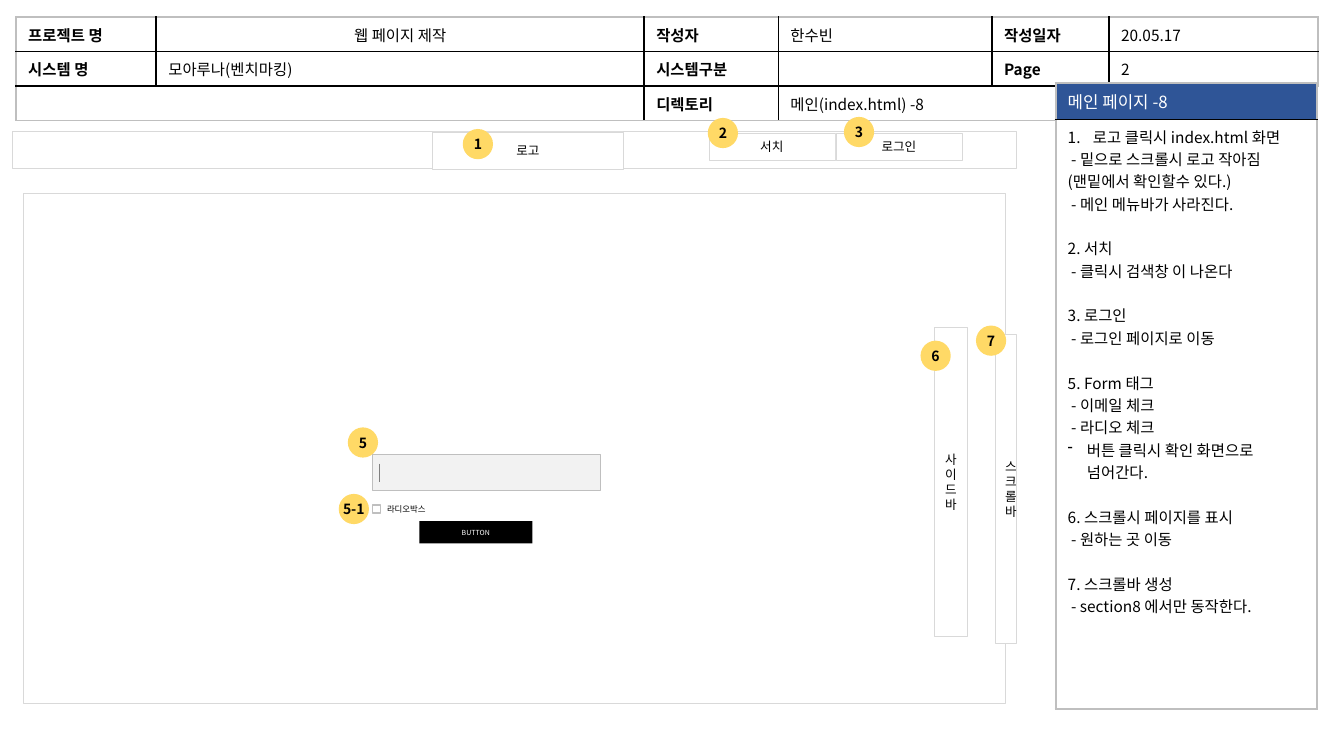
from pptx import Presentation, util as u
from pptx.dml import color
from pptx.enum import shapes, text
from pptx.oxml import ns, xmlchemy as xml

FONT = "Noto Sans CJK KR"
GRAY, BLACK, WHITE = "D9D9D9", "000000", "FFFFFF"
EDGE = "BFBFBF"
CENTER = text.PP_ALIGN.CENTER


def rgb(code):
    return color.RGBColor.from_string(code)


def write(para, words, size, ink=BLACK, bold=False):
    run = para.add_run()
    run.text = words
    font = run.font
    font.name, font.size, font.bold = FONT, u.Pt(size), bold
    font.color.rgb = rgb(ink)
    east = xml.OxmlElement("a:ea")
    east.set("typeface", FONT)
    run._r.get_or_add_rPr().append(east)


def shape(slide, box, fill=WHITE, line=GRAY, width=0.25, words="", size=9,
          ink=BLACK, bold=False, kind=shapes.MSO_SHAPE.RECTANGLE):
    item = slide.shapes.add_shape(kind, *map(u.Inches, box))
    item.shadow.inherit = False
    item.fill.solid()
    item.fill.fore_color.rgb = rgb(fill)
    if line:
        item.line.color.rgb = rgb(line)
        item.line.width = u.Pt(width)
    else:
        item.line.fill.background()
    if words:
        frame = item.text_frame
        frame.vertical_anchor = text.MSO_ANCHOR.MIDDLE
        frame.paragraphs[0].alignment = CENTER
        write(frame.paragraphs[0], words, size, ink, bold)
    return item


def badge(slide, x, y, words):
    item = shape(slide, (x, y, 0.3, 0.3), "FFD966", None, words=words, size=10,
                 bold=True, kind=shapes.MSO_SHAPE.OVAL)
    frame = item.text_frame
    frame.word_wrap = False
    frame.margin_left = frame.margin_right = 0
    frame.margin_top = frame.margin_bottom = 0


def border(cell, side, ink, width):
    line = xml.OxmlElement("a:ln" + side)
    line.set("w", str(u.Pt(width)))
    solid = xml.OxmlElement("a:solidFill")
    tint = xml.OxmlElement("a:srgbClr")
    tint.set("val", ink)
    solid.append(tint)
    line.append(solid)
    cell._tc.get_or_add_tcPr().append(line)


def grid(slide, x, y, cols, rows):
    frame = slide.shapes.add_table(len(rows), len(cols), u.Inches(x), u.Inches(y),
                                   u.Inches(sum(cols)), u.Inches(sum(rows)))
    table = frame.table
    table.first_row = table.horz_banding = False
    for col, width in zip(table.columns, cols):
        col.width = u.Inches(width)
    for row, height in zip(table.rows, rows):
        row.height = u.Inches(height)
    return table


def dress(table, fills, thick=()):
    rows, cols = len(table.rows), len(table.columns)
    for i in range(rows):
        for j in range(cols):
            cell = table.cell(i, j)
            cell.margin_left = cell.margin_right = u.Inches(0.12)
            cell.margin_top = cell.margin_bottom = u.Inches(0.06)
            sides = (("L", j == 0, j), ("R", j == cols - 1, j + 1),
                     ("T", i == 0, None), ("B", i == rows - 1, None))
            for side, outer, line in sides:
                inner = (cell.is_spanned and side == "L"
                         or cell.is_merge_origin and side == "R")
                if not inner:
                    wide = outer or line in thick
                    border(cell, side, EDGE if outer else BLACK, 1.5 if wide else 1)
            cell.fill.solid()
            cell.fill.fore_color.rgb = rgb(fills[i])
            for para in cell.text_frame.paragraphs:
                para._p.get_or_add_endParaRPr().set("sz", "1100")


def header(slide, x, y):
    table = grid(slide, x, y, (1.39, 4.84, 1.33, 2.12, 1.16, 2.07), (0.34,) * 3)
    table.cell(2, 0).merge(table.cell(2, 1))
    table.cell(2, 3).merge(table.cell(2, 5))
    rows = (("프로젝트 명", "웹 페이지 제작", "작성자", "한수빈", "작성일자", "20.05.17"),
            ("시스템 명", "모아루나(벤치마킹)", "시스템구분", "", "Page", "2"),
            ("", "", "디렉토리", "메인(index.html) -8", "", ""))
    for i, row in enumerate(rows):
        for j, words in enumerate(row):
            if words:
                para = table.cell(i, j).text_frame.paragraphs[0]
                write(para, words, 11, bold=j % 2 == 0)
    table.cell(0, 1).text_frame.paragraphs[0].alignment = CENTER
    dress(table, (WHITE,) * 3, (1, 2, 5))


def bullet(para, tag, key, value, indent):
    props = para._p.get_or_add_pPr()
    props.set("marL", str(u.Inches(indent)))
    props.set("indent", str(-u.Inches(indent)))
    mark = xml.OxmlElement(tag)
    mark.set(key, value)
    props.append(mark)


def notes(slide, x, y):
    table = grid(slide, x, y, (2.59,), (0.36, 5.85))
    write(table.cell(0, 0).text_frame.paragraphs[0], "메인 페이지 -8", 12, WHITE)
    parts = (
        ("로고 클릭시 index.html 화면", " - 밑으로 스크롤시 로고 작아짐(맨밑에서 확인할수 있다.)",
         " - 메인 메뉴바가 사라진다."),
        ("2. 서치", " - 클릭시 검색창 이 나온다"),
        ("3. 로그인", " - 로그인 페이지로 이동"),
        ("5. Form 태그", " - 이메일 체크", " - 라디오 체크", "버튼 클릭시 확인 화면으로 넘어간다."),
        ("6. 스크롤시 페이지를 표시", " - 원하는 곳 이동"),
        ("7. 스크롤바 생성", " - section8 에서만 동작한다."))
    frame = table.cell(1, 0).text_frame
    for i, part in enumerate(parts):
        for j, words in enumerate(part):
            first = i == j == 0
            para = frame.paragraphs[0] if first else frame.add_paragraph()
            if i and j == 0:
                para.space_before = u.Pt(16)
            if first:
                bullet(para, "a:buAutoNum", "type", "arabicPeriod", 0.25)
            elif words.startswith("버튼"):
                bullet(para, "a:buChar", "char", "-", 0.19)
            write(para, words, 11)
    dress(table, ("2F5597", WHITE))


def menu(slide, x, y):
    shape(slide, (x, y, 9.96, 0.37))
    shape(slide, (x + 4.17, y + 0.01, 1.89, 0.37), words="로고")
    for i, words in enumerate(("서치", "로그인")):
        shape(slide, (x + 6.91 + i * 1.26, y + 0.02, 1.25, 0.27), words=words)
    badge(slide, x + 4.47, y - 0.02, "1")
    badge(slide, x + 6.9, y - 0.13, "2")
    badge(slide, x + 8.25, y - 0.14, "3")


def form(slide, x, y):
    shape(slide, (x, y, 2.26, 0.35), "F2F2F2", EDGE)
    caret = slide.shapes.add_connector(
        shapes.MSO_CONNECTOR.STRAIGHT, u.Inches(x + 0.07), u.Inches(y + 0.09),
        u.Inches(x + 0.07), u.Inches(y + 0.27))
    caret.line.color.rgb = rgb("808080")
    caret.line.width = u.Pt(0.25)
    caret._element.find(ns.qn("p:spPr")).append(xml.OxmlElement("a:effectLst"))
    shape(slide, (x, y + 0.5, 0.08, 0.08), line=EDGE, width=0.75)
    label = slide.shapes.add_textbox(
        *map(u.Inches, (x + 0.05, y + 0.44, 0.62, 0.2))).text_frame
    label.word_wrap = False
    write(label.paragraphs[0], "라디오박스", 6)
    shape(slide, (x + 0.47, y + 0.66, 1.12, 0.22), BLACK, None,
          words="BUTTON", size=5, ink=WHITE)
    badge(slide, x - 0.24, y - 0.27, "5")
    badge(slide, x - 0.33, y + 0.39, "5-1")


def bars(slide, x, y):
    shape(slide, (x, y, 0.32, 3.06), words="사이드바")
    shape(slide, (x + 0.6, y + 0.07, 0.21, 3.06), words="스크롤바")
    badge(slide, x - 0.14, y + 0.13, "6")
    badge(slide, x + 0.41, y - 0.02, "7")


def main():
    deck = Presentation()
    deck.slide_width, deck.slide_height = u.Inches(13.33), u.Inches(7.5)
    slide = deck.slides.add_slide(deck.slide_layouts[6])
    shape(slide, (0.23, 1.92, 9.74, 5.06))
    header(slide, 0.16, 0.17)
    notes(slide, 10.47, 0.82)
    menu(slide, 0.12, 1.3)
    form(slide, 3.69, 4.51)
    bars(slide, 9.27, 3.25)
    deck.save("out.pptx")


if __name__ == "__main__":
    main()
